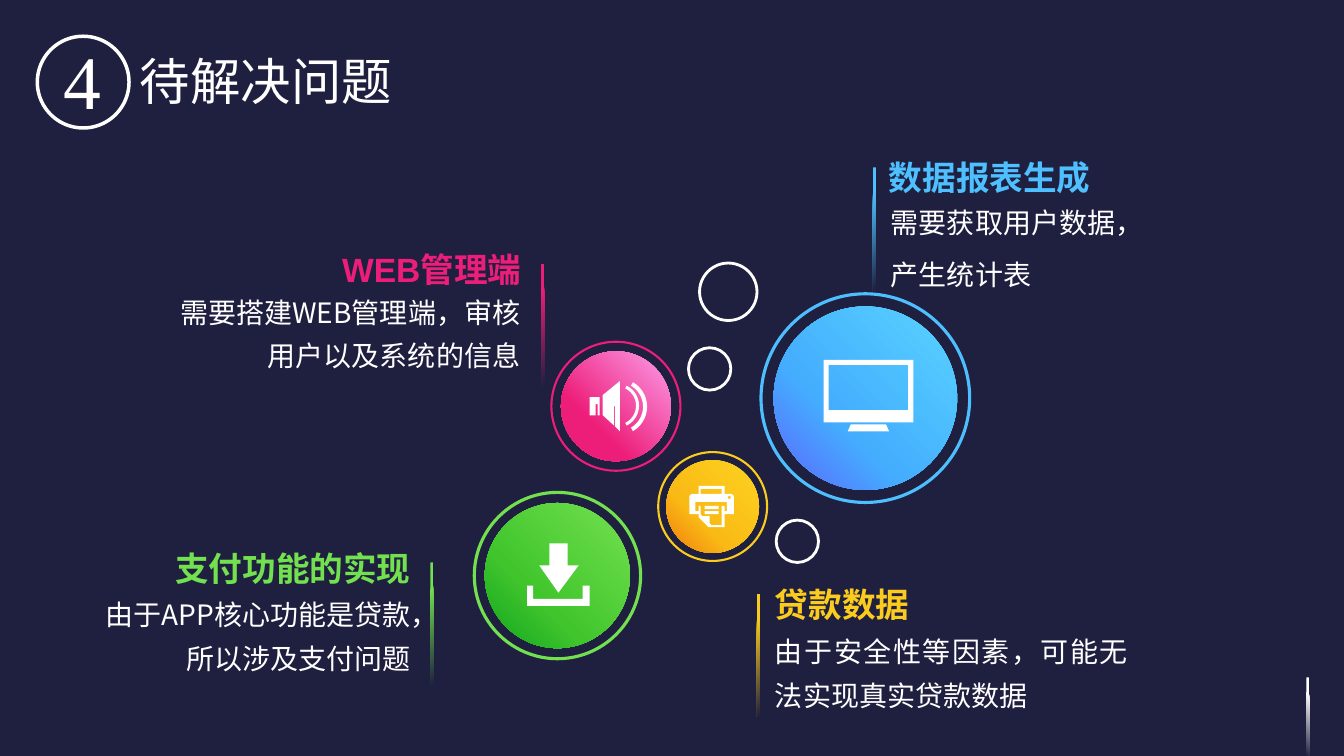
from math import cos, radians, sin

from lxml.etree import SubElement
from pptx import Presentation
from pptx.dml.color import RGBColor
from pptx.enum.shapes import MSO_SHAPE
from pptx.enum.text import MSO_AUTO_SIZE, PP_ALIGN
from pptx.oxml.ns import qn
from pptx.util import Inches, Pt

NAVY, WHITE = "1F203F", "FFFFFF"
BLUE, GREEN, PINK, YELLOW = "4EC0FF", "73E14F", "ED1E79", "FBCB1D"
SANS, HEAD, SERIF = "Noto Sans CJK SC", "Arial", "Times New Roman"
LEFT, RIGHT, EVEN, MID = (PP_ALIGN.LEFT, PP_ALIGN.RIGHT,
                          PP_ALIGN.JUSTIFY, PP_ALIGN.CENTER)


def cell(count):
    """Turn a count of grid cells, ten to the inch, into a length."""
    return Inches(count / 10)


def tint(code):
    """Turn a hex string into a colour."""
    return RGBColor.from_string(code)


def rect(left, top, right, base):
    """List the corners of a rectangle."""
    return [(left, top), (right, top), (right, base), (left, base)]


def wave(x, y, inner, outer, sweep):
    """List the points of a curved band opening to the left."""
    turns = [sweep * step / 12 for step in range(-12, 13)]
    arcs = [(inner, turns), (outer, turns[::-1])]
    return [(x + r * cos(radians(a)), y + r * sin(radians(a)))
            for r, angles in arcs for a in angles]


class Canvas:
    """Hold the style and the slide, and draw each kind of element."""

    def __init__(self, deck):
        """Add a blank slide with a navy background."""
        self.slide = deck.slides.add_slide(deck.slide_layouts[6])
        self.shapes = self.slide.shapes
        back = self.slide.background.fill
        back.solid()
        back.fore_color.rgb = tint(NAVY)

    def blend(self, shape, stops):
        """Fill a shape with a gradient running to the lower left."""
        shape.fill.gradient()
        shape.fill.gradient_angle = 225
        stop_list = shape._element.spPr.find(".//" + qn("a:gsLst"))
        stop_list.clear()
        for pos, code in stops:
            stop = SubElement(stop_list, qn("a:gs"), pos=str(pos * 1000))
            SubElement(stop, qn("a:srgbClr"), val=code)

    def block(self, kind, x, y, w, h):
        """Add a bare preset shape."""
        shape = self.shapes.add_shape(kind, *map(cell, (x, y, w, h)))
        shape.shadow.inherit = False
        shape.fill.background()
        shape.line.fill.background()
        return shape

    def ring(self, x, y, size, code, width):
        """Add a circle outline around a centre."""
        shape = self.disc(x, y, size)
        shape.line.color.rgb = tint(code)
        shape.line.width = Pt(width)

    def disc(self, x, y, size, stops=None):
        """Add a circle around a centre."""
        shape = self.block(MSO_SHAPE.OVAL, x - size / 2, y - size / 2, size, size)
        if stops:
            self.blend(shape, stops)
        return shape

    def bar(self, x, y, h, code, flip=True):
        """Add a thin bar that fades into the background."""
        shape = self.block(MSO_SHAPE.ROUNDED_RECTANGLE, x, y, 0.3, h)
        self.blend(shape, [(0, code), (21, code), (100, NAVY)])
        if flip:
            shape._element.spPr.xfrm.set("flipH", "1")

    def icon(self, *loops):
        """Add a white outline made of closed loops."""
        loops = [[(cell(x), cell(y)) for x, y in loop] for loop in loops]
        pen = self.shapes.build_freeform(*loops[0][0], scale=1.0)
        for spot, loop in enumerate(loops):
            if spot:
                pen.move_to(*loop[0])
            pen.add_line_segments(loop[1:], close=True)
        shape = pen.convert_to_shape()
        shape.shadow.inherit = False
        shape.fill.solid()
        shape.fill.fore_color.rgb = tint(WHITE)
        shape.line.fill.background()

    def text(self, box, words, size, font, code=WHITE, align=LEFT,
             bold=False, loose=False, wrap=True):
        """Add a text box."""
        frame = self.shapes.add_textbox(*map(cell, box)).text_frame
        frame.word_wrap = wrap
        frame.auto_size = MSO_AUTO_SIZE.SHAPE_TO_FIT_TEXT
        frame.text = words
        for para in frame.paragraphs:
            para.alignment = align
            if loose:
                para.line_spacing = 1.3
                para.space_after = Pt(6)
            for run in para.runs:
                run.font.name = font
                run.font.size = Pt(size)
                run.font.bold = bold
                run.font.color.rgb = tint(code)
                SubElement(run.font._element, qn("a:ea"), typeface=SANS)


DISCS = [
    (85.85, 39.5, 18.2, 20.7, "4DBEFE", 2.25,
     [(0, "57D3FF"), (64, "44ADFE"), (100, "5D63FE")]),
    (55.3, 57.1, 14.4, 16.5, GREEN, 2.25,
     [(0, GREEN), (64, "41C52D"), (100, "0FA51E")]),
    (61.1, 40.3, 10.9, 12.8, PINK, 1.5, [(2, "FC9BE8"), (69, PINK)]),
    (70.7, 50.25, 9.2, 10.8, YELLOW, 1.5,
     [(0, "FCD320"), (64, "FABA15"), (100, "F07D0D")]),
]
BUBBLES = [(72.25, 28.95, 5.7), (70.4, 36.6, 4.2), (79.1, 53.7, 4.2)]
TOPICS = [
    (PINK, RIGHT, (53.7, 26.2), (30.7, 24.2, 22, 5), "WEB管理端",
     RIGHT, (16.6, 27.8, 36, 9.3), "需要搭建WEB管理端，审核用户以及系统的信息"),
    (GREEN, RIGHT, (42.7, 55.8), (12.9, 53.9, 28.8, 5), "支付功能的实现",
     RIGHT, (8.2, 57.8, 33.5, 9.8), "由于APP核心功能是贷款，所以涉及支付问题"),
    (BLUE, LEFT, (86.6, 16.6), (87.2, 15.1, 25.7, 5), "数据报表生成",
     EVEN, (87.4, 18.9, 37, 10.2), "需要获取用户数据，\n产生统计表"),
    (YELLOW, LEFT, (75.1, 58.9), (75.9, 57.4, 22, 5), "贷款数据",
     EVEN, (75.9, 61.5, 37, 9.3), "由于安全性等因素，可能无法实现真实贷款数据"),
]
SPEAKER = [
    wave(61.4, 40.35, 2.4, 2.8, 60),
    wave(61.2, 40.25, 1.9, 2.2, 64),
    [(59.8, 39.2), (59.8, 41.2), (60.9, 42.2), (60.9, 40.3), (61, 40.3),
     (61, 42.3), (61.5, 42.8), (61.5, 37.8)],
    [(58.5, 39.4), (58.5, 41.2), (59.1, 41.2), (59.1, 40.1), (59.3, 40.1),
     (59.3, 41.2), (59.5, 41.2), (59.5, 39.4)],
]
SCREEN = [
    [(84.4, 42.1), (87.9, 42.1), (88.2, 42.8), (84.1, 42.8)],
    rect(82.2, 36.2, 90.1, 40.7),
    rect(81.7, 35.7, 90.6, 41.9),
]
PRINTER = [
    [(72.6, 49), (71.9, 49), (71.9, 48.2), (69.3, 48.2), (69.3, 49),
     (68.6, 49), (68.4, 49.2), (68.4, 51), (69.3, 51), (69.3, 51.3),
     (70.3, 52.3), (71.9, 52.3), (71.9, 51), (72.8, 51), (72.8, 49.2)],
    rect(69.5, 48.5, 71.6, 49),
    [(72.1, 50.7), (71.9, 50.7), (71.9, 50.2), (71.6, 50.2), (71.6, 52.1),
     (70.6, 52.1), (70.4, 51.9), (70.4, 51.2), (69.7, 51.2), (69.5, 51),
     (69.5, 50.2), (69.3, 50.2), (69.3, 50.7), (69, 50.7), (69, 49.8),
     (72.1, 49.8)],
    wave(72.35, 49.35, 0, 0.16, 180),
    rect(69.9, 50.2, 71.3, 50.5),
    rect(69.9, 50.7, 71.3, 51),
]
ARROW = [
    [(52.3, 58.1), (52.9, 58.1), (52.9, 59.4), (57.8, 59.4), (57.8, 58.1),
     (58.5, 58.1), (58.5, 60.1), (52.3, 60.1)],
    [(54.5, 53.9), (56.3, 53.9), (56.3, 56.1), (57.4, 56.1), (55.4, 58.8),
     (53.5, 56.1), (54.5, 56.1)],
]


def main():
    """Build the slide and save it."""
    deck = Presentation()
    deck.slide_width, deck.slide_height = cell(133.33), cell(75)
    page = Canvas(deck)
    page.bar(129.6, 67.2, 7.9, WHITE, flip=False)
    for code, side, spot, top, head, align, box, body in TOPICS:
        page.bar(*spot, 12.2, code)
        page.text(box, body, 20, SANS, align=align, loose=True)
        page.text(top, head, 24, HEAD, code, side, bold=True)
    for x, y, size, outer, code, width, stops in DISCS:
        page.disc(x, y, size, stops)
        page.ring(x, y, outer, code, width)
    for bubble in BUBBLES:
        page.ring(*bubble, WHITE, 2)
    for loop in SPEAKER:
        page.icon(loop)
    for loops in (SCREEN, PRINTER, ARROW):
        page.icon(*loops)
    page.text((5.3, 2.9, 5.8, 10.1), "4", 54, SERIF, align=MID, wrap=False)
    page.ring(8.25, 8.15, 9.1, WHITE, 2.5)
    page.text((12.9, 4.5, 52.3, 7.1), "待解决问题", 36, SANS)
    deck.save("out.pptx")


if __name__ == "__main__":
    main()
